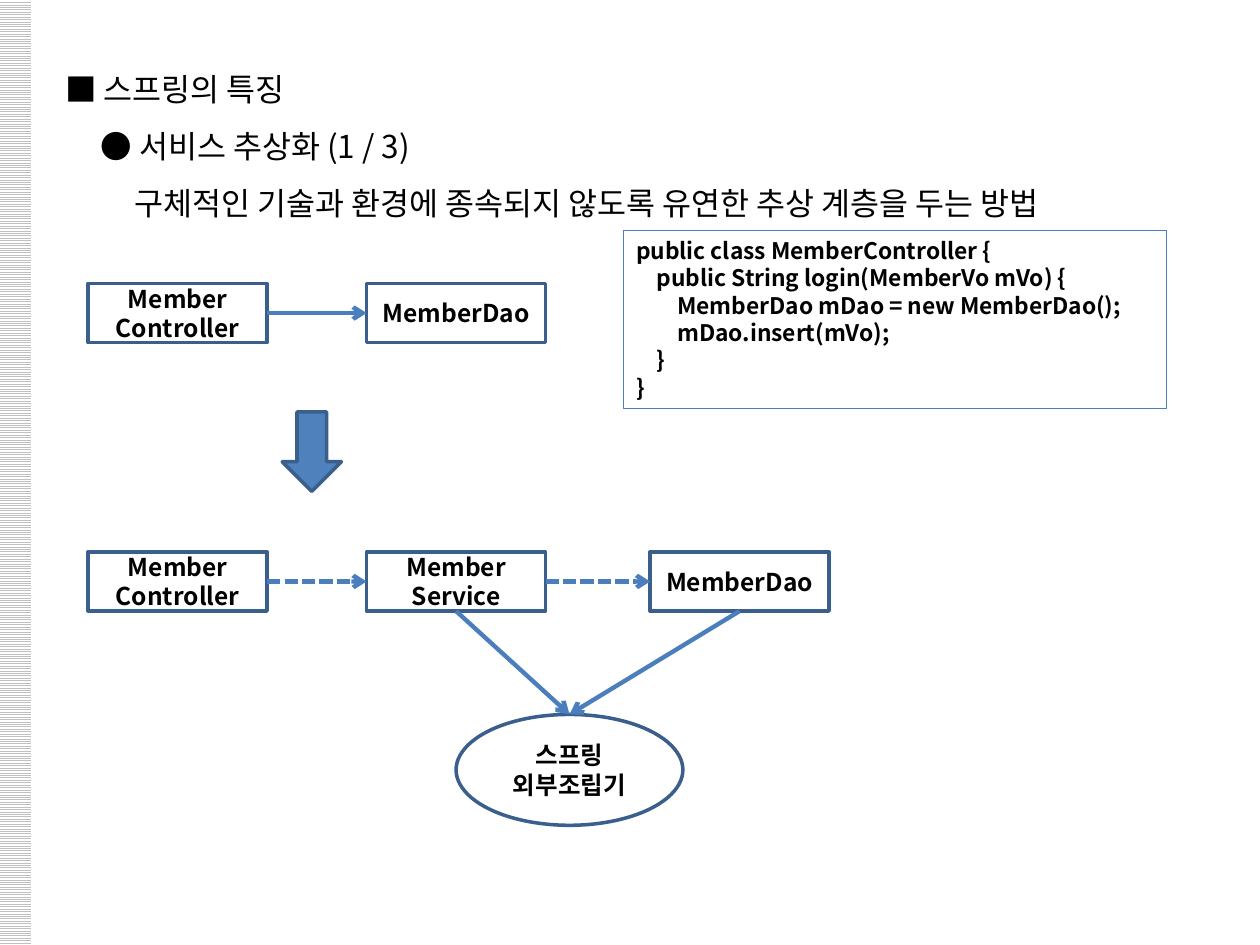
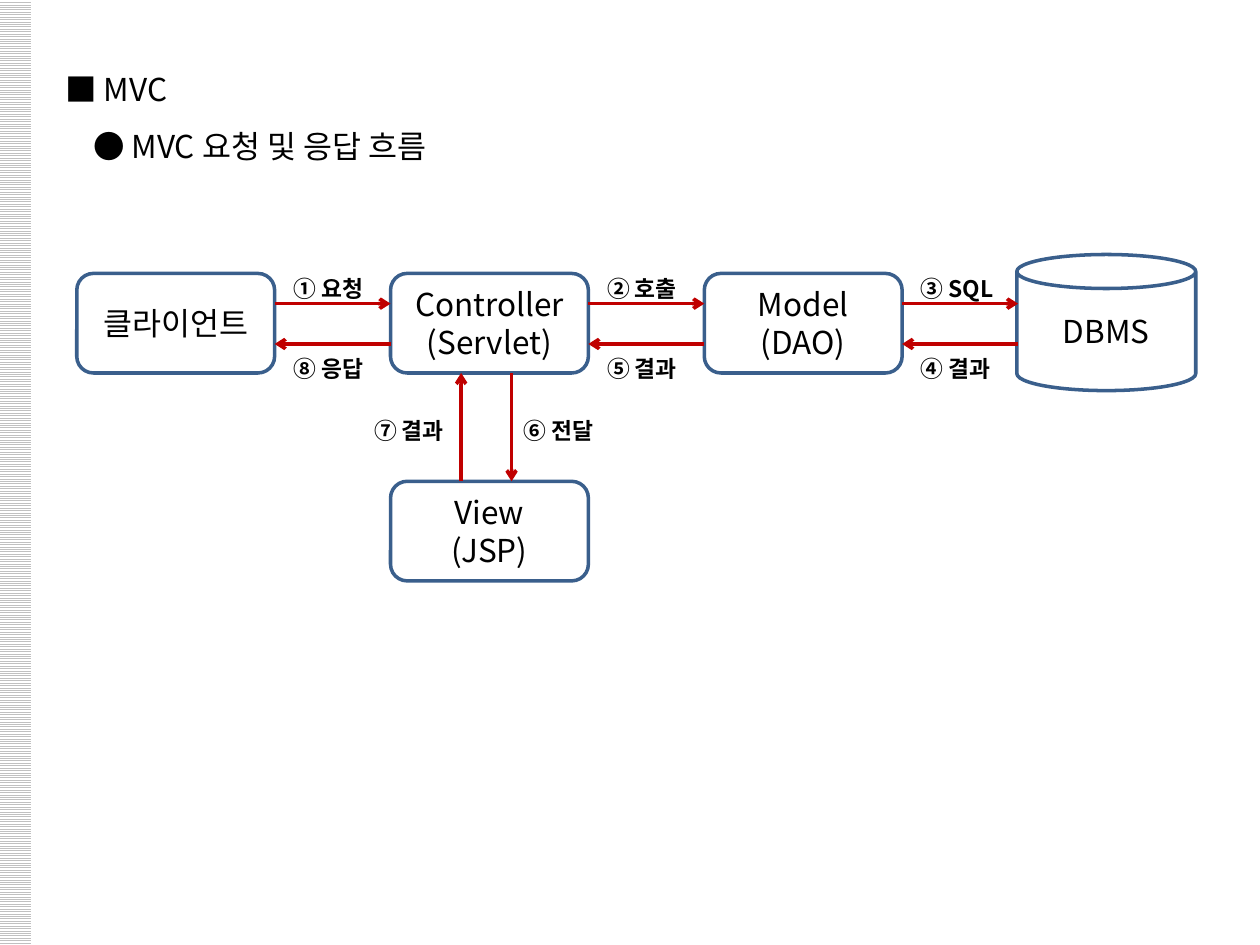
from dataclasses import dataclass

from pptx import Presentation
from pptx.dml.color import RGBColor as Rgb
from pptx.enum.dml import MSO_LINE as Dash, MSO_PATTERN as Pattern
from pptx.enum.shapes import MSO_CONNECTOR as Link, MSO_SHAPE as Kind
from pptx.enum.text import MSO_ANCHOR as Anchor, PP_ALIGN as Align
from pptx.oxml.ns import qn
from pptx.oxml.xmlchemy import OxmlElement as Node
from pptx.util import Inches, Pt

FONT = "Noto Sans CJK KR"
BLACK, WHITE, GREY = "000000", "FFFFFF", "C0C0C0"
EDGE, BLUE, FILL, RED = "3A5F8C", "4B7EBC", "4F81BD", "C00000"


@dataclass
class Box:
    left: float
    top: float
    width: float
    height: float
    text: str = ""
    kind: Kind = Kind.RECTANGLE
    size: int = 14
    bold: bool = True
    fill: str = ""


@dataclass
class Arrow:
    start: tuple[float, float]
    end: tuple[float, float]
    color: str = RED
    width: float = 2


@dataclass
class Label:
    left: float
    top: float
    text: str


def paint(target, color: str) -> None:
    """Give a fill or a line one solid colour."""
    fill = getattr(target, "fill", target)
    fill.solid()
    fill.fore_color.rgb = Rgb.from_string(color)


def write(frame, text: str, size: int, bold: bool = False,
          align=Align.LEFT, space: float = 1, steps=()) -> None:
    """Fill a text frame, one paragraph a line."""
    for i, line in enumerate(text.split("\n")):
        para = frame.paragraphs[0] if i == 0 else frame.add_paragraph()
        para.text = line
        para.alignment = align
        para.line_spacing = space
        props = para._p.get_or_add_pPr()
        if steps:
            props.set("marL", str(Inches(steps[i])))
            props.set("indent", "0")
        font = para.font
        font.name, font.size, font.bold = FONT, Pt(size), bold
        font.color.rgb = Rgb.from_string(BLACK)
        east = Node("a:ea")
        east.set("typeface", FONT)
        props.find(qn("a:defRPr")).append(east)


def add_text(slide, left: float, top: float, width: float, height: float,
             wrap: bool = True):
    box = slide.shapes.add_textbox(
        Inches(left), Inches(top), Inches(width), Inches(height))
    box.text_frame.word_wrap = wrap
    return box


def add_box(slide, box: Box):
    shape = slide.shapes.add_shape(
        box.kind, Inches(box.left), Inches(box.top),
        Inches(box.width), Inches(box.height))
    shape.shadow.inherit = False
    if box.fill:
        paint(shape.fill, box.fill)
    else:
        shape.fill.background()
    paint(shape.line, EDGE)
    shape.line.width = Pt(2)
    if box.text:
        shape.text_frame.vertical_anchor = Anchor.MIDDLE
        write(shape.text_frame, box.text, box.size, box.bold, Align.CENTER)
    return shape


def add_arrow(slide, arrow: Arrow):
    line = slide.shapes.add_connector(
        Link.STRAIGHT, *map(Inches, arrow.start + arrow.end))
    paint(line.line, arrow.color)
    line.line.width = Pt(arrow.width)
    tip = Node("a:tailEnd")
    tip.set("type", "arrow")
    line.line._get_or_add_ln().append(tip)
    line._element.spPr.append(Node("a:effectLst"))
    return line


def join(slide, first, side: int, last, end: int, dashed: bool = False) -> None:
    """Draw an arrow from a side of one shape to a side of another."""
    line = add_arrow(slide, Arrow((0, 0), (1, 1), BLUE, 2.5))
    line.begin_connect(first, side)
    line.end_connect(last, end)
    if dashed:
        line.line.dash_style = Dash.SQUARE_DOT


def add_slide(deck, title: str, steps: tuple[float, ...]):
    """Start a slide with the striped side band and its heading lines."""
    slide = deck.slides.add_slide(deck.slide_layouts[6])
    band = slide.shapes.add_shape(
        Kind.RECTANGLE, 0, 0, Inches(0.25), deck.slide_height)
    band.shadow.inherit = False
    band.line.fill.background()
    band.fill.patterned()
    band.fill.pattern = Pattern.LIGHT_HORIZONTAL
    band.fill.fore_color.rgb = Rgb.from_string(GREY)
    band.fill.back_color.rgb = Rgb.from_string(WHITE)
    head = add_text(slide, 0.42, 0.36, 9.04, 0.1 + 0.45 * len(steps))
    write(head.text_frame, title, 18, space=1.5, steps=steps)
    return slide


CODE = """public class MemberController {
    public String login(MemberVo mVo) {
        MemberDao mDao = new MemberDao();
        mDao.insert(mVo);
    }
}"""


def draw_service(deck) -> None:
    slide = add_slide(
        deck, "■ 스프링의 특징\n● 서비스 추상화 (1 / 3)\n"
        "구체적인 기술과 환경에 종속되지 않도록 유연한 추상 계층을 두는 방법",
        (0, 0.28, 0.55))

    # Code sample
    code = add_text(slide, 4.95, 1.83, 4.31, 1.41)
    paint(code.line, BLUE)
    code.line.width = Pt(0.75)
    write(code.text_frame, CODE, 13, True)

    # Direct call above, service layer below
    cols, wide, high = (0.7, 2.91, 5.16), 1.42, 0.47
    control, dao, service = "Member\nController", "MemberDao", "Member\nService"
    rows = [(2.25, (control, dao)), (4.38, (control, service, dao))]
    upper, lower = [
        [add_box(slide, Box(x, top, wide, high, name))
         for x, name in zip(cols, names)]
        for top, names in rows]
    add_box(slide, Box(2.24, 3.27, 0.47, 0.63, kind=Kind.DOWN_ARROW, fill=FILL))
    spring = add_box(
        slide, Box(3.62, 5.67, 1.8, 0.88, "스프링\n외부조립기", Kind.OVAL))

    # Links
    for row, dashed in ((upper, False), (lower, True)):
        for first, last in zip(row, row[1:]):
            join(slide, first, 3, last, 1, dashed)
    for part in lower[1:]:
        join(slide, part, 2, spring, 0)


def draw_flow(deck) -> None:
    slide = add_slide(deck, "■ MVC\n● MVC 요청 및 응답 흐름", (0, 0.22))

    # Parts
    left, top, wide, high, pitch = 0.61, 2.17, 1.57, 0.79, 2.49
    view_top = 3.82
    spots = [("클라이언트", 0, top), ("Controller\n(Servlet)", 1, top),
             ("Model\n(DAO)", 2, top), ("View\n(JSP)", 1, view_top)]
    for name, col, y in spots:
        add_box(slide, Box(left + col * pitch, y, wide, high, name,
                           Kind.ROUNDED_RECTANGLE, 18, False))
    add_box(slide, Box(8.07, 2.02, 1.42, 1.08, "DBMS", Kind.CAN, 18, False))

    # Requests go right, replies come back left
    arrows, labels = [], []
    pairs = [("① 요청", "⑧ 응답"), ("② 호출", "⑤ 결과"), ("③ SQL", "④ 결과")]
    for i, (ask, reply) in enumerate(pairs):
        near = left + wide + i * pitch
        far = near + pitch - wide
        arrows += [Arrow((near, 2.41), (far, 2.41)),
                   Arrow((far, 2.73), (near, 2.73))]
        labels += [Label(near + 0.05, 2.02, ask),
                   Label(near + 0.05, 2.66, reply)]

    # Controller and view
    base = top + high
    arrows += [Arrow((4.06, base), (4.06, view_top)),
               Arrow((3.66, view_top), (3.66, base))]
    labels += [Label(4.06, 3.15, "⑥ 전달"), Label(2.87, 3.15, "⑦ 결과")]

    for arrow in arrows:
        add_arrow(slide, arrow)
    for label in labels:
        box = add_text(slide, label.left, label.top, 0.81, 0.39, wrap=False)
        write(box.text_frame, label.text, 13, True, space=1.5)


def main() -> None:
    deck = Presentation()
    deck.slide_width, deck.slide_height = Inches(10), Inches(7.5)
    draw_service(deck)
    draw_flow(deck)
    deck.save("out.pptx")


if __name__ == "__main__":
    main()
